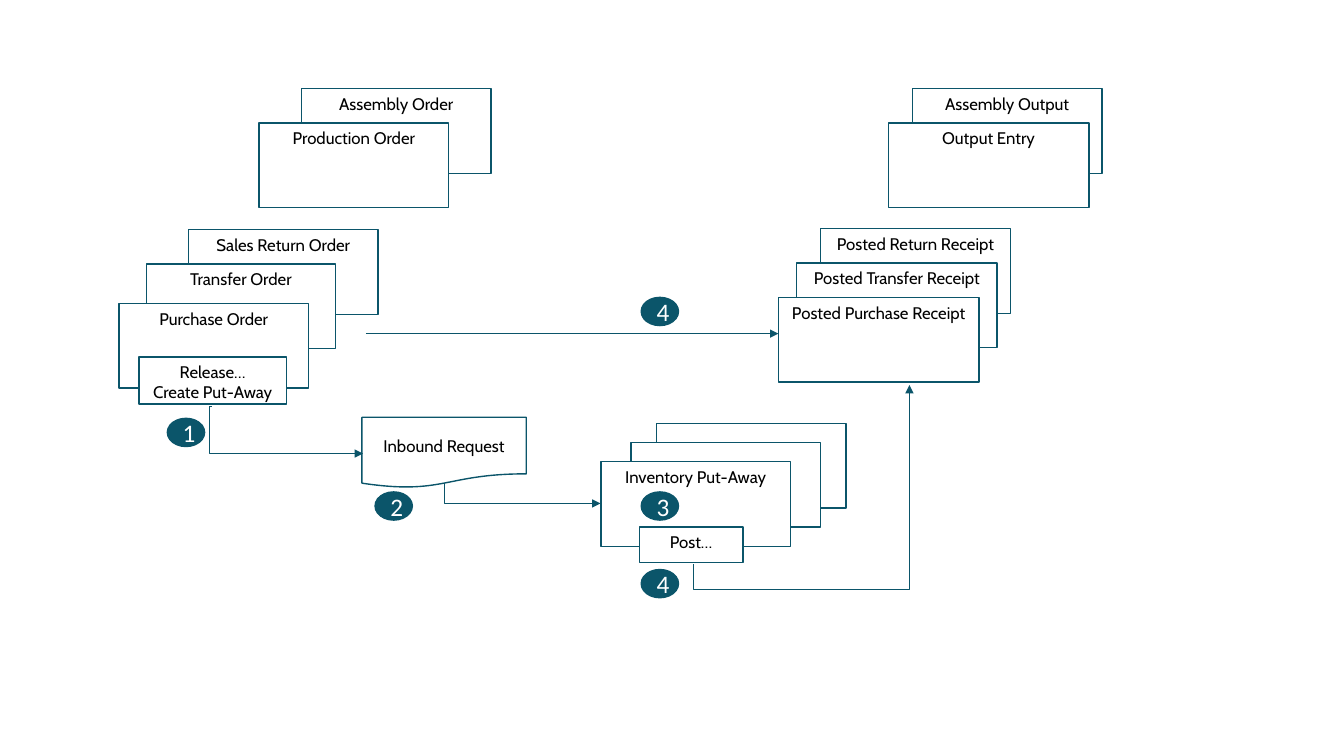
from dataclasses import dataclass

from lxml import etree
from pptx import Presentation
from pptx.dml.color import RGBColor
from pptx.enum.shapes import MSO_CONNECTOR, MSO_SHAPE
from pptx.enum.text import MSO_ANCHOR, PP_ALIGN
from pptx.oxml.ns import qn
from pptx.util import Inches, Pt

RECTANGLE = MSO_SHAPE.RECTANGLE
DOCUMENT = MSO_SHAPE.FLOWCHART_DOCUMENT
CIRCLE = MSO_SHAPE.FLOWCHART_CONNECTOR
STRAIGHT, ELBOW = MSO_CONNECTOR.STRAIGHT, MSO_CONNECTOR.ELBOW
TOP, MIDDLE = MSO_ANCHOR.TOP, MSO_ANCHOR.MIDDLE
CENTER = PP_ALIGN.CENTER


@dataclass(frozen=True)
class Theme:
    teal: RGBColor = RGBColor(0x0B, 0x55, 0x6A)
    white: RGBColor = RGBColor(0xFF, 0xFF, 0xFF)
    black: RGBColor = RGBColor(0x00, 0x00, 0x00)
    label_font: str = "Cabin"
    badge_font: str = "Calibri"
    label_size: Pt = Pt(12)
    badge_size: Pt = Pt(18)
    outline: Pt = Pt(1)
    arrow: Pt = Pt(0.5)


THEME = Theme()
CARD_WIDTH, WIDE_WIDTH, CARD_HEIGHT = 1.88, 1.99, 0.84
BADGE_WIDTH, BADGE_HEIGHT = 0.37, 0.28
LABEL = {"name": THEME.label_font, "size": THEME.label_size}
BADGE = {"name": THEME.badge_font, "size": THEME.badge_size}

# Each card: left, top, width, label, listed from back to front
ORDER_CARDS = [
    (1.87, 2.28, CARD_WIDTH, "Sales Return Order"),
    (1.45, 2.62, CARD_WIDTH, "Transfer Order"),
    (1.18, 3.01, CARD_WIDTH, "Purchase Order"),
    (2.99, 0.88, CARD_WIDTH, "Assembly Order"),
    (2.57, 1.22, CARD_WIDTH, "Production Order"),
]
POSTED_CARDS = [
    (8.14, 2.27, CARD_WIDTH, "Posted Return Receipt"),
    (7.9, 2.61, WIDE_WIDTH, "Posted Transfer Receipt"),
    (7.72, 2.95, WIDE_WIDTH, "Posted Purchase Receipt"),
    (9.05, 0.88, CARD_WIDTH, "Assembly Output"),
    (8.81, 1.22, WIDE_WIDTH, "Output Entry"),
]
PUT_AWAY_CARDS = [
    (6.51, 4.2, CARD_WIDTH, ""),
    (6.26, 4.39, CARD_WIDTH, ""),
    (5.96, 4.58, CARD_WIDTH, "Inventory Put-Away"),
]
STEP_BADGES = [
    (1.66, 4.15, "1"),
    (3.72, 4.88, "2"),
    (6.36, 2.95, "4"),
    (6.36, 4.88, "3"),
    (6.36, 5.65, "4"),
]


def add_box(page, kind, frame, label, fill=THEME.white, ink=THEME.black,
            font=LABEL, anchor=TOP):
    """Outlined shape with centred text; each line of the label is a paragraph."""
    box = page.shapes.add_shape(kind, *map(Inches, frame))
    box.shadow.inherit = False
    if fill is None:
        box.fill.background()
    else:
        box.fill.solid()
        box.fill.fore_color.rgb = fill
    box.line.color.rgb = THEME.teal
    box.line.width = THEME.outline
    text = box.text_frame
    text.word_wrap = True
    text.vertical_anchor = anchor
    text.text = label
    for para in text.paragraphs:
        para.alignment = CENTER
        for span in para.runs:
            for name, value in font.items():
                setattr(span.font, name, value)
            span.font.color.rgb = ink


def add_cards(page, cards):
    for left, top, width, label in cards:
        add_box(page, RECTANGLE, (left, top, width, CARD_HEIGHT), label)


def add_badge(page, left, top, number):
    add_box(page, CIRCLE, (left, top, BADGE_WIDTH, BADGE_HEIGHT), number,
            THEME.teal, THEME.white, BADGE, MIDDLE)


def add_arrow(page, kind, start, end):
    arrow = page.shapes.add_connector(kind, *map(Inches, start + end))
    arrow.line.color.rgb = THEME.teal
    arrow.line.width = THEME.arrow
    etree.SubElement(arrow.line._get_or_add_ln(), qn("a:tailEnd"), type="triangle")
    etree.SubElement(arrow._element.spPr, qn("a:effectLst"))
    return arrow


def add_elbow(page, frame, preset, bend=None, **turn):
    """Bent arrow in an unturned frame; turn holds rot and flips, bend the adjustment."""
    left, top, width, height = frame
    arrow = add_arrow(page, ELBOW, (left, top), (left + width, top + height))
    properties = arrow._element.spPr
    for name, value in turn.items():
        properties.find(qn("a:xfrm")).set(name, value)
    geometry = properties.find(qn("a:prstGeom"))
    geometry.set("prst", preset)
    if bend is not None:
        guides = geometry.find(qn("a:avLst"))
        etree.SubElement(guides, qn("a:gd"), name="adj1", fmla=f"val {bend}")


def main():
    deck = Presentation()
    deck.slide_width, deck.slide_height = Inches(13.33), Inches(7.5)
    page = deck.slides.add_slide(deck.slide_layouts[6])

    add_cards(page, ORDER_CARDS)
    add_box(page, RECTANGLE, (1.38, 3.54, 1.46, 0.47), "Release…\nCreate Put-Away")
    add_cards(page, POSTED_CARDS)

    add_arrow(page, STRAIGHT, (3.63, 3.31), (7.72, 3.31))
    add_elbow(page, (2.1, 4.03, 1.5, 0.47), "bentConnector3", -1500)
    add_elbow(page, (5.08, 4.12, 0.2, 1.55), "bentConnector2",
              rot="16200000", flipH="1")
    add_box(page, DOCUMENT, (3.59, 4.14, 1.63, 0.7), "Inbound Request",
            fill=None, anchor=MIDDLE)

    add_cards(page, PUT_AWAY_CARDS)
    add_box(page, RECTANGLE, (6.34, 5.23, 1.03, 0.35), "Post…")
    add_elbow(page, (7.06, 3.64, 1.78, 2.14), "bentConnector3", -14000,
              rot="5400000", flipH="1", flipV="1")

    for left, top, number in STEP_BADGES:
        add_badge(page, left, top, number)
    deck.save("out.pptx")


if __name__ == "__main__":
    main()
